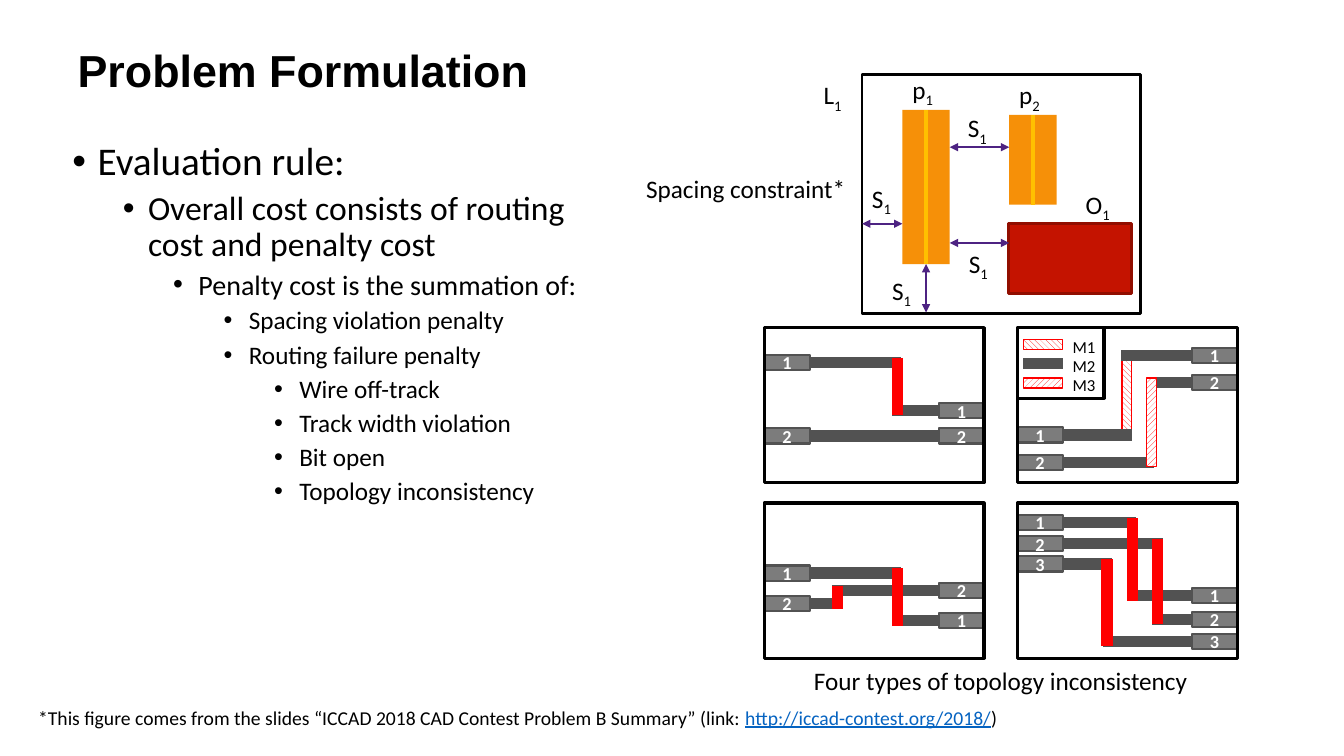
from dataclasses import dataclass
from typing import Optional, Union

import pptx
import pptx.dml.color
import pptx.enum.dml
import pptx.enum.shapes
import pptx.enum.text
import pptx.oxml.ns
import pptx.oxml.xmlchemy
import pptx.util

Inches = pptx.util.Inches
Pt = pptx.util.Pt
Align = pptx.enum.text.PP_ALIGN
Pattern = pptx.enum.dml.MSO_PATTERN
TOP, LEFT, BOTTOM, RIGHT = range(4)


@dataclass(frozen=True)
class Theme:
    heading: str = "Arial"
    body: str = "Calibri"
    black: str = "000000"
    white: str = "FFFFFF"
    link: str = "0563C1"
    track: str = "F69008"
    center_line: str = "FFC000"
    obstacle: str = "C41300"
    obstacle_edge: str = "910E00"
    spacing: str = "4D2382"
    wire: str = "525252"
    pin: str = "7C7C7C"
    violation: str = "FF0000"
    title_size: int = 32
    label_size: int = 18
    note_size: int = 14
    pin_size: int = 13
    legend_size: int = 12
    level_sizes: tuple = (28, 24, 20, 18, 18)
    wire_width: int = 8


@dataclass(frozen=True)
class Box:
    left: float
    top: float
    width: float
    height: float


@dataclass(frozen=True)
class Pin:
    name: str
    top: float


@dataclass(frozen=True)
class Wire:
    begin: Union[str, float]
    end: Union[str, float]


@dataclass(frozen=True)
class Jumper:
    x: float
    top: float
    bottom: float


@dataclass(frozen=True)
class Panel:
    column: int
    row: int
    pins: tuple
    wires: tuple
    jumpers: tuple = ()
    under: Optional[Box] = None
    over: Optional[Box] = None


THEME = Theme()
PIN_WIDTH, PIN_HEIGHT = 0.45, 0.15
PANEL_WIDTH, PANEL_HEIGHT = 2.18, 1.54
PANEL_LEFT, PANEL_TOP = 7.58, 3.25
COLUMN_STEP, ROW_STEP = 2.51, 1.74
M1, M3 = Pattern.WIDE_DOWNWARD_DIAGONAL, Pattern.WIDE_UPWARD_DIAGONAL

RULES = (
    (0, "Evaluation rule:"),
    (1, "Overall cost consists of routing cost and penalty cost"),
    (2, "Penalty cost is the summation of:"),
    (3, "Spacing violation penalty"),
    (3, "Routing failure penalty"),
    (4, "Wire off-track"),
    (4, "Track width violation"),
    (4, "Bit open"),
    (4, "Topology inconsistency"),
)
TRACKS = (Box(8.95, 1.09, 0.47, 1.53), Box(10.01, 1.14, 0.47, 0.89))
SPACING_LABELS = (
    ("p", "1", 8.95, 0.69), ("p", "2", 10.01, 0.74), ("L", "1", 8.07, 0.74),
    ("S", "1", 8.55, 1.77), ("S", "1", 8.75, 2.68), ("S", "1", 9.51, 2.41),
    ("S", "1", 9.5, 1.07), ("O", "1", 10.67, 1.83),
)
SPACING_ARROWS = ((8.55, 8.95, 2.22), (9.42, 10.01, 2.41), (9.42, 10.01, 1.46))
PANELS = (
    Panel(0, 0, (Pin("L1", 3.52), Pin("L2", 4.25), Pin("R1", 4), Pin("R2", 4.25)),
          (Wire("L1", 8.94), Wire("L2", "R2"), Wire(8.85, "R1")),
          (Jumper(8.9, 3.55, 4.12),)),
    Panel(1, 0, (Pin("L1", 4.24), Pin("L2", 4.51), Pin("R1", 3.45), Pin("R2", 3.72)),
          (Wire("L2", 11.45), Wire(11.12, "R1"), Wire(11.4, "R2"), Wire("L1", 11.23)),
          under=Box(11.13, 3.49, 0.09, 0.87), over=Box(11.37, 3.75, 0.1, 0.88)),
    Panel(0, 1, (Pin("L1", 5.61), Pin("L2", 5.91), Pin("R2", 5.78), Pin("R1", 6.08)),
          (Wire("L1", 8.94), Wire("L2", 8.31), Wire(8.25, "R2"), Wire(8.85, "R1")),
          (Jumper(8.31, 5.81, 6.04), Jumper(8.9, 5.64, 6.21))),
    Panel(1, 1, (Pin("L1", 5.11), Pin("L2", 5.32), Pin("L3", 5.52),
                 Pin("R1", 5.83), Pin("R2", 6.07), Pin("R3", 6.29)),
          (Wire("L1", 11.27), Wire("L2", 11.53), Wire("L3", 11.03),
           Wire(11.18, "R1"), Wire(11.43, "R2"), Wire(10.94, "R3")),
          (Jumper(11.23, 5.14, 5.96), Jumper(10.98, 5.55, 6.41), Jumper(11.48, 5.35, 6.19))),
)


def rgb(value: str):
    return pptx.dml.color.RGBColor.from_string(value)


def add_run(paragraph, text: str, size: float, color: str = THEME.black,
            font: str = THEME.body, bold: bool = False):
    run = paragraph.add_run()
    run.text = text
    run.font.size, run.font.name, run.font.bold = Pt(size), font, bold
    run.font.color.rgb = rgb(color)
    return run


def add_text(slide, box: Box):
    frame = slide.shapes.add_textbox(*map(Inches, (box.left, box.top, box.width, box.height))).text_frame
    frame.word_wrap = True
    frame.auto_size = pptx.enum.text.MSO_AUTO_SIZE.SHAPE_TO_FIT_TEXT
    return frame


def add_rect(slide, box: Box, fill: Optional[str] = None, line: Optional[str] = None,
             width: float = 2.25, pattern=None):
    rect = slide.shapes.add_shape(pptx.enum.shapes.MSO_SHAPE.RECTANGLE,
                                  *map(Inches, (box.left, box.top, box.width, box.height)))
    rect.shadow.inherit = False
    if pattern is not None:
        rect.fill.patterned()
        rect.fill.pattern = pattern
        rect.fill.fore_color.rgb, rect.fill.back_color.rgb = rgb(THEME.violation), rgb(THEME.white)
    elif fill:
        rect.fill.solid()
        rect.fill.fore_color.rgb = rgb(fill)
    else:
        rect.fill.background()
    if line:
        rect.line.color.rgb, rect.line.width = rgb(line), Pt(width)
    else:
        rect.line.fill.background()
    return rect


def add_line(slide, start: tuple, end: tuple, color: str, width: float, arrows: bool = False):
    line = slide.shapes.add_connector(pptx.enum.shapes.MSO_CONNECTOR.STRAIGHT, *map(Inches, start + end))
    line.line.color.rgb, line.line.width = rgb(color), Pt(width)
    properties = line.element.spPr
    if arrows:
        for tag in ("a:headEnd", "a:tailEnd"):
            tip = pptx.oxml.xmlchemy.OxmlElement(tag)
            tip.set("type", "triangle")
            properties.find(pptx.oxml.ns.qn("a:ln")).append(tip)
    properties.append(pptx.oxml.xmlchemy.OxmlElement("a:effectLst"))
    return line


def add_rules(slide) -> None:
    frame = add_text(slide, Box(0.62, 1.36, 5.44, 5.6))
    frame.auto_size = pptx.enum.text.MSO_AUTO_SIZE.NONE
    for index, (level, text) in enumerate(RULES):
        paragraph = frame.add_paragraph() if index else frame.paragraphs[0]
        properties = paragraph._p.get_or_add_pPr()
        properties.set("marL", str(Inches(0.25 + 0.5 * level)))
        properties.set("indent", str(Inches(-0.25)))
        for tag, key, value in (("a:buFont", "typeface", THEME.heading), ("a:buChar", "char", "•")):
            bullet = pptx.oxml.xmlchemy.OxmlElement(tag)
            bullet.set(key, value)
            properties.append(bullet)
        paragraph.level, paragraph.line_spacing = level, 0.9
        paragraph.space_before = Pt(5 if index else 0)
        add_run(paragraph, text, THEME.level_sizes[level])


def add_spacing_figure(slide) -> None:
    add_rect(slide, Box(8.55, 0.74, 2.76, 2.37), THEME.white, THEME.black, 2)
    tracks = [add_rect(slide, box, THEME.track) for box in TRACKS]
    middles = [box.left + box.width / 2 for box in TRACKS]
    for track, box, x in zip(tracks, TRACKS, middles):
        center = add_line(slide, (x, box.top + box.height), (x, box.top), THEME.center_line, 2.25)
        center.begin_connect(track, BOTTOM)
        center.end_connect(track, TOP)
    add_rect(slide, Box(10, 2.22, 1.22, 0.69), THEME.obstacle, THEME.obstacle_edge, 2)
    for left, right, y in SPACING_ARROWS:
        add_line(slide, (left, y), (right, y), THEME.spacing, 1.5, arrows=True)
    drop = add_line(slide, (middles[0], 3.1), (middles[0], 2.62), THEME.spacing, 1.5, arrows=True)
    drop.end_connect(tracks[0], BOTTOM)
    for letter, subscript, left, top in SPACING_LABELS:
        paragraph = add_text(slide, Box(left, top, 0.55, 0.4)).paragraphs[0]
        add_run(paragraph, letter, THEME.label_size)
        add_run(paragraph, subscript, THEME.label_size)._r.get_or_add_rPr().set("baseline", "-25000")


def add_pin(slide, pin: Pin, panel_left: float):
    left = panel_left + (PANEL_WIDTH - PIN_WIDTH if pin.name[0] == "R" else 0)
    rect = add_rect(slide, Box(left, pin.top, PIN_WIDTH, PIN_HEIGHT), THEME.pin, THEME.wire, 1.5)
    rect.text_frame.vertical_anchor = pptx.enum.text.MSO_ANCHOR.MIDDLE
    paragraph = rect.text_frame.paragraphs[0]
    paragraph.alignment = Align.CENTER
    add_run(paragraph, pin.name[1:], THEME.pin_size, THEME.white, bold=True)
    return rect


def add_panel(slide, panel: Panel) -> None:
    left, top = PANEL_LEFT + COLUMN_STEP * panel.column, PANEL_TOP + ROW_STEP * panel.row
    if panel.under:
        add_rect(slide, panel.under, line=THEME.violation, width=1, pattern=M1)
    pins = {pin.name: add_pin(slide, pin, left) for pin in panel.pins}
    heights = {pin.name: pin.top + PIN_HEIGHT / 2 for pin in panel.pins}
    for wire in panel.wires:
        y = heights[wire.begin if wire.begin in pins else wire.end]
        start = left + PIN_WIDTH if wire.begin in pins else wire.begin
        end = left + PANEL_WIDTH - PIN_WIDTH if wire.end in pins else wire.end
        line = add_line(slide, (start, y), (end, y), THEME.wire, THEME.wire_width)
        if wire.begin in pins:
            line.begin_connect(pins[wire.begin], RIGHT)
        if wire.end in pins:
            line.end_connect(pins[wire.end], LEFT)
    for jumper in panel.jumpers:
        add_line(slide, (jumper.x, jumper.top), (jumper.x, jumper.bottom), THEME.violation, THEME.wire_width)
    if panel.over:
        add_rect(slide, panel.over, line=THEME.violation, width=1, pattern=M3)
    add_rect(slide, Box(left, top, PANEL_WIDTH, PANEL_HEIGHT), line=THEME.black)


def add_legend(slide) -> None:
    add_rect(slide, Box(PANEL_LEFT + COLUMN_STEP, PANEL_TOP, 0.86, 0.7), line=THEME.black)
    for index, (layer, pattern) in enumerate((("M1", M1), ("M2", None), ("M3", M3))):
        y = 3.42 + 0.19 * index
        if pattern is None:
            add_line(slide, (10.15, y), (10.54, y), THEME.wire, THEME.wire_width)
        else:
            add_rect(slide, Box(10.15, y - 0.05, 0.39, 0.1), line=THEME.violation, width=1, pattern=pattern)
        frame = add_text(slide, Box(10.54, y - 0.13, 0.5, 0.3))
        add_run(frame.paragraphs[0], layer, THEME.legend_size)


def main() -> None:
    deck = pptx.Presentation()
    deck.slide_width, deck.slide_height = Inches(13.33), Inches(7.5)
    slide = deck.slides.add_slide(deck.slide_layouts[5])
    title = slide.shapes.title
    title.left, title.top, title.width, title.height = map(Inches, (0.67, 0.07, 12.66, 1.25))
    title.text_frame.vertical_anchor = pptx.enum.text.MSO_ANCHOR.MIDDLE
    title.text_frame.auto_size = pptx.enum.text.MSO_AUTO_SIZE.NONE
    heading = title.text_frame.paragraphs[0]
    heading.alignment = Align.LEFT
    add_run(heading, "Problem Formulation", THEME.title_size, font=THEME.heading, bold=True)

    add_rules(slide)
    constraint = add_text(slide, Box(6.31, 1.67, 2.28, 0.4)).paragraphs[0]
    add_run(constraint, "Spacing constraint*", THEME.label_size)
    add_spacing_figure(slide)
    for panel in PANELS:
        add_panel(slide, panel)
    add_legend(slide)
    caption = add_text(slide, Box(7.58, 6.55, 4.69, 0.4)).paragraphs[0]
    caption.alignment = Align.CENTER
    add_run(caption, "Four types of topology inconsistency", THEME.label_size)
    footnote = add_text(slide, Box(0.28, 6.95, 11.03, 0.34)).paragraphs[0]
    add_run(footnote, "*This figure comes from the slides “ICCAD 2018 CAD Contest Problem B Summary” (link: ",
            THEME.note_size)
    add_run(footnote, "http://iccad-contest.org/2018/", THEME.note_size, THEME.link).font.underline = True
    add_run(footnote, ")", THEME.note_size)
    deck.save("out.pptx")


if __name__ == "__main__":
    main()
